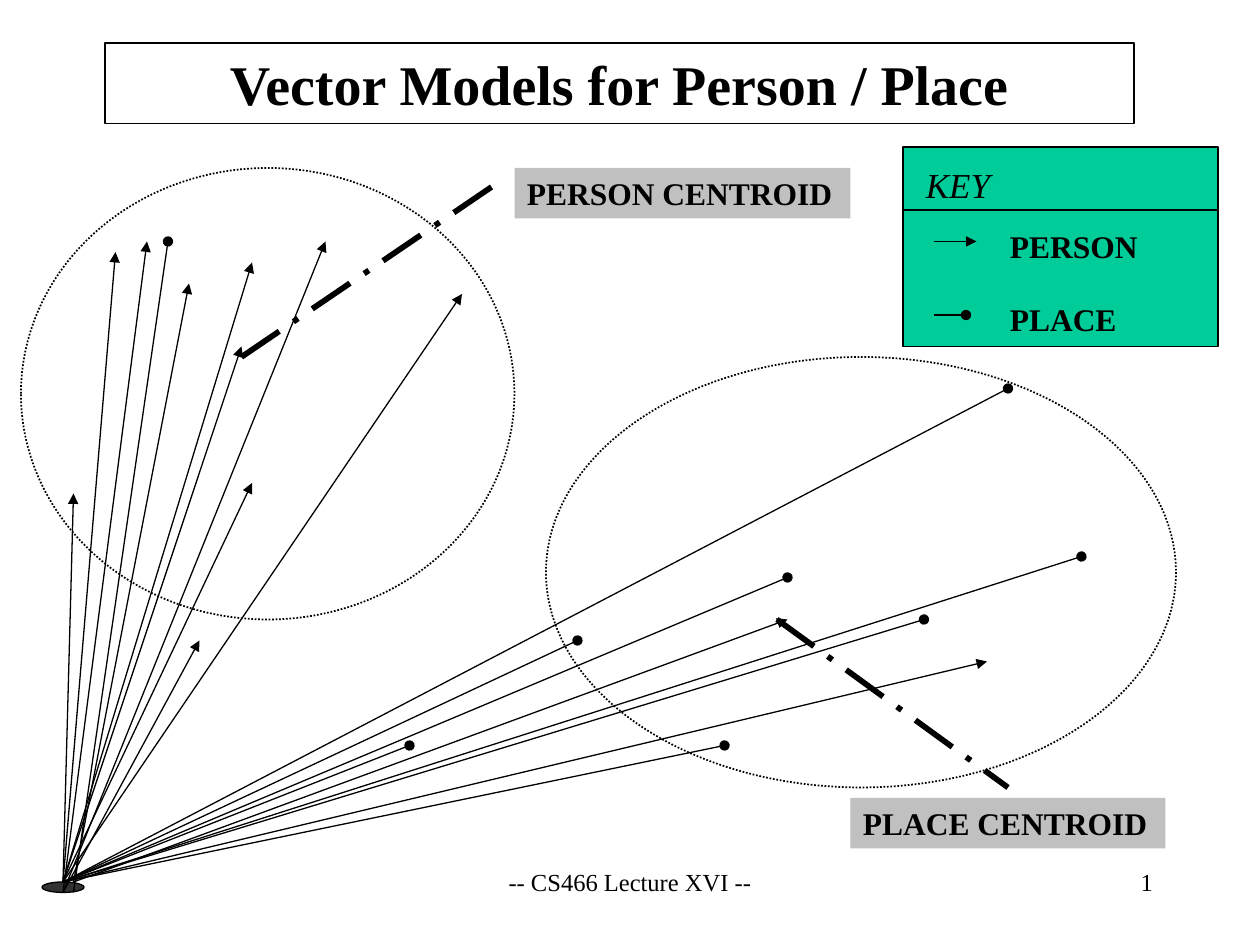
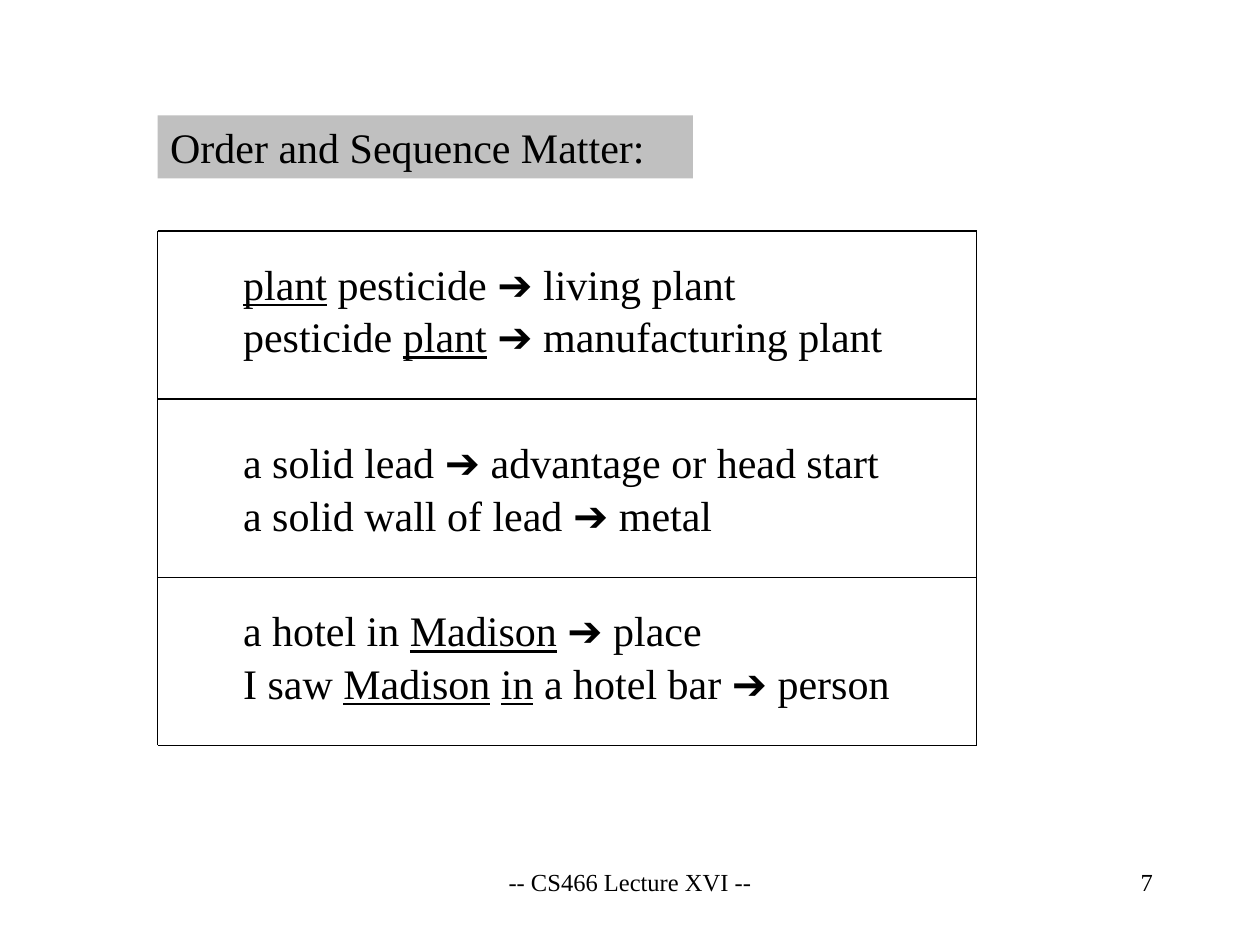
import pptx
import pptx.dml.color
import pptx.enum.dml
import pptx.enum.shapes
import pptx.enum.text
import pptx.oxml.ns
import pptx.util
import lxml.etree

SHAPES = pptx.enum.shapes.MSO_SHAPE
DASHES = pptx.enum.dml.MSO_LINE
ALIGN = pptx.enum.text.PP_ALIGN
ANCHOR = pptx.enum.text.MSO_ANCHOR

COLUMNS, ROWS = 120, 90
LABEL_HEIGHT = 4.8
BLACK, GREY, GREEN, DARK = "000000", "C0C0C0", "00CC99", "333333"
SERIF, ARROW_FONT, ARROW = "Times New Roman", "Arial", "➔"
PERSON, PLACE = "triangle", "oval"


def color(hex_text):
    return pptx.dml.color.RGBColor.from_string(hex_text)


class Deck:
    """Holds the shared style and the current slide; lengths are grid units."""

    def __init__(self):
        self.presentation = pptx.Presentation()
        self.presentation.slide_width = pptx.util.Inches(10)
        self.presentation.slide_height = pptx.util.Inches(7.5)
        self.column = self.presentation.slide_width / COLUMNS
        self.row = self.presentation.slide_height / ROWS
        self.slide = None

    def lengths(self, *values):
        """Turn alternating columns and rows into slide lengths."""
        units = (self.column, self.row)
        return [round(value * units[index % 2]) for index, value in enumerate(values)]

    def new_slide(self, number):
        layout = self.presentation.slide_layouts.get_by_name("Title Only")
        self.slide = self.presentation.slides.add_slide(layout)
        self.text((41, 82, 38, 6), "-- CS466 Lecture XVI --", 14, align=ALIGN.CENTER)
        self.text((86, 82, 25, 6), str(number), 14, align=ALIGN.RIGHT)

    def paint(self, shape, fill=None, line=None, dash=None):
        if fill:
            shape.fill.solid()
            shape.fill.fore_color.rgb = color(fill)
        else:
            shape.fill.background()
        if line:
            self.stroke(shape.line, line, dash)
        else:
            shape.line.fill.background()

    def stroke(self, line, width, dash=None):
        line.color.rgb = color(BLACK)
        line.width = pptx.util.Pt(width)
        if dash:
            line.dash_style = dash

    def set_text(self, shape, text, size, bold=False, italic=False, underlined=(),
                 align=ALIGN.LEFT, anchor=ANCHOR.TOP, indent=0.1):
        """Fill a shape with one line; a bar in the text starts a new run."""
        frame = shape.text_frame
        frame.word_wrap = True
        frame.auto_size = pptx.enum.text.MSO_AUTO_SIZE.NONE
        frame.vertical_anchor = anchor
        frame.margin_left = pptx.util.Inches(indent)
        frame.margin_right = pptx.util.Inches(0.1)
        frame.margin_top = frame.margin_bottom = pptx.util.Inches(0.05)
        paragraph = frame.paragraphs[0]
        paragraph.alignment = align
        for piece in text.split("|"):
            run = paragraph.add_run()
            run.text = piece
            run.font.name = ARROW_FONT if piece == ARROW else SERIF
            run.font.size = pptx.util.Pt(size)
            run.font.color.rgb = color(BLACK)
            run.font.bold = bold
            run.font.italic = italic
            run.font.underline = piece in underlined

    def title(self, box, text, size, fill=None, line=None, **style):
        shape = self.slide.shapes.title
        shape.left, shape.top, shape.width, shape.height = self.lengths(*box)
        self.paint(shape, fill, line)
        self.set_text(shape, text, size, **style)

    def text(self, box, text, size, fill=None, **style):
        shape = self.slide.shapes.add_textbox(*self.lengths(*box))
        self.paint(shape, fill)
        self.set_text(shape, text, size, **style)

    def shape(self, kind, box, fill=None, line=0.75, dash=None):
        shape = self.slide.shapes.add_shape(kind, *self.lengths(*box))
        shape.shadow.inherit = False
        self.paint(shape, fill, line, dash)

    def line(self, start, end, head=None, width=0.75, dash=None):
        connector = self.slide.shapes.add_connector(
            pptx.enum.shapes.MSO_CONNECTOR.STRAIGHT, *self.lengths(*start, *end))
        self.stroke(connector.line, width, dash)
        properties = connector._element.spPr
        if head:
            outline = properties.find(pptx.oxml.ns.qn("a:ln"))
            lxml.etree.SubElement(outline, pptx.oxml.ns.qn("a:tailEnd"), type=head)
        lxml.etree.SubElement(properties, pptx.oxml.ns.qn("a:effectLst"))


def vector_models(deck):
    deck.new_slide(1)
    deck.title((10, 4.08, 98, 7.68), "Vector Models for Person / Place", 32, line=0.75,
               bold=True, align=ALIGN.CENTER, anchor=ANCHOR.MIDDLE)

    # Clusters and the common origin
    for cluster in ((2, 16, 47, 43), (52, 34, 60, 41)):
        deck.shape(SHAPES.OVAL, cluster, line=1, dash=DASHES.ROUND_DOT)
    deck.shape(SHAPES.OVAL, (4, 84, 4, 1), fill=DARK)

    # Vectors, grouped by starting point and kind
    vectors = [
        ((6, 85), PERSON, [(14, 23), (31, 23), (19, 61)]),
        ((7, 85), PLACE, [(16, 23)]),
        ((7, 84), PERSON, [(18, 27), (75, 59)]),
        ((6, 84), PERSON, [(44, 28), (24, 25), (7, 47), (23, 33),
                           (94, 63), (11, 24), (24, 46)]),
        ((6, 84), PLACE, [(96, 37), (39, 71), (69, 71), (88, 59),
                          (75, 55), (103, 53), (55, 61)]),
    ]
    for origin, kind, tips in vectors:
        for tip in tips:
            deck.line(origin, tip, kind)

    # Centroids with their labels
    centroids = [
        ((23, 34), (48, 17), (49, 16, 32, LABEL_HEIGHT), "PERSON CENTROID"),
        ((74, 59), (96, 75), (81, 76, 30, LABEL_HEIGHT), "PLACE CENTROID"),
    ]
    for start, end, box, label in centroids:
        deck.line(start, end, width=3.25, dash=DASHES.LONG_DASH_DOT)
        deck.text(box, label, 18, fill=GREY, bold=True)

    # Key
    deck.shape(SHAPES.RECTANGLE, (86, 14, 30, 19), fill=GREEN)
    deck.text((87, 15, 11, 5.3), "KEY", 20, italic=True)
    deck.line((86, 20), (116, 20))
    for row, end, kind, label in ((23, 93, PERSON, "PERSON"), (30, 92, PLACE, "PLACE")):
        deck.line((89, row), (end, row), kind)
        deck.text((95, row - 2, 18, LABEL_HEIGHT), label, 18, bold=True)


def order_and_sequence(deck):
    deck.new_slide(7)
    deck.title((15, 11, 51, 6), "Order and Sequence Matter:", 24, fill=GREY)

    # Example pairs, each with its first text row
    examples = [
        (24, "plant| pesticide |➔| living plant",
         "pesticide |plant| |➔| manufacturing plant"),
        (41, "a solid lead |➔| advantage or head start",
         "a solid wall of lead |➔| metal"),
        (57, "a hotel in |Madison| |➔| place",
         "I saw |Madison| |in| a hotel bar |➔| person"),
    ]
    for top, *sentences in examples:
        for index, sentence in enumerate(sentences):
            deck.text((21, top + 5 * index, 72, 6), sentence, 24, indent=0.18,
                      underlined=("plant", "Madison", "in"))

    # Ruled frame
    left, right = 15, 93
    rules = (22, 38, 55, 71)
    for row in rules:
        deck.line((left, row), (right, row))
    for column in (left, right):
        deck.line((column, rules[0]), (column, rules[-1]))


def main():
    deck = Deck()
    vector_models(deck)
    order_and_sequence(deck)
    deck.presentation.save("out.pptx")


if __name__ == "__main__":
    main()
